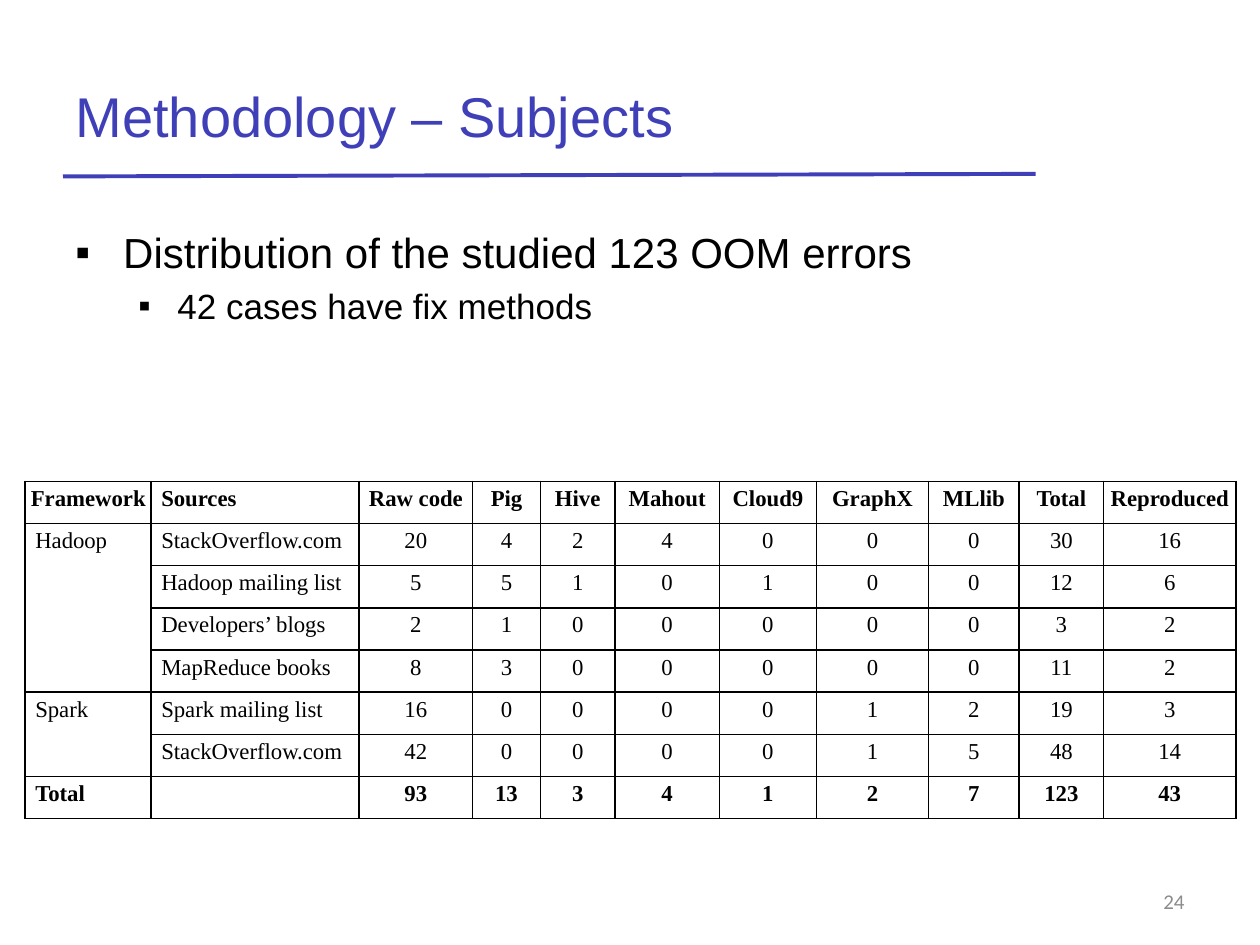
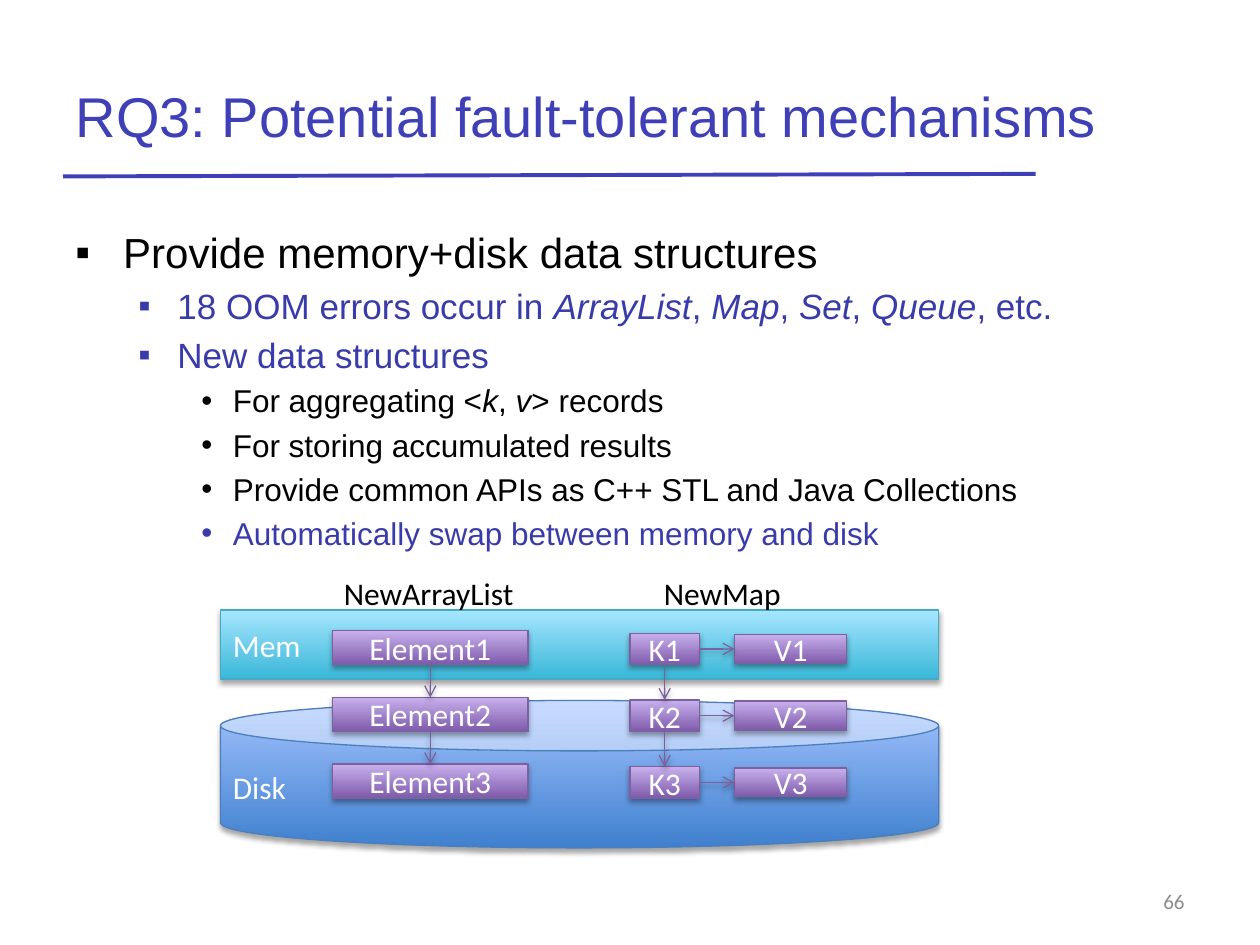
from lxml import etree
from pptx import Presentation
from pptx.dml.color import RGBColor
from pptx.enum.shapes import MSO_CONNECTOR, MSO_SHAPE
from pptx.enum.text import MSO_ANCHOR, MSO_AUTO_SIZE, PP_ALIGN
from pptx.oxml.ns import qn
from pptx.util import Inches, Pt

LEFT, CENTER, RIGHT = PP_ALIGN.LEFT, PP_ALIGN.CENTER, PP_ALIGN.RIGHT
TOP, MIDDLE = MSO_ANCHOR.TOP, MSO_ANCHOR.MIDDLE
RECT, CAN = MSO_SHAPE.RECTANGLE, MSO_SHAPE.CAN
STRAIGHT = MSO_CONNECTOR.STRAIGHT

# Content: bullets are (level, colour, text), with *italic* parts
BLACK, WHITE, GREY = "000000", "FFFFFF", "8C8C8C"
TITLE_BLUE, TEXT_BLUE = "3F40B8", "393BAA"

SUBJECTS = {
    "title": "Methodology – Subjects",
    "number": "24",
    "bullets": [
        (0, BLACK, "Distribution of the studied 123 OOM errors"),
        (1, BLACK, "42 cases have fix methods"),
    ],
}
MECHANISMS = {
    "title": "RQ3: Potential fault-tolerant mechanisms",
    "number": "66",
    "bullets": [
        (0, BLACK, "Provide memory+disk data structures"),
        (1, TEXT_BLUE, "18 OOM errors occur in *ArrayList*, *Map*, *Set*, *Queue*, etc."),
        (1, TEXT_BLUE, "New data structures"),
        (2, BLACK, "For aggregating <*k*, *v*> records"),
        (2, BLACK, "For storing accumulated results"),
        (2, BLACK, "Provide common APIs as C++ STL and Java Collections"),
        (2, TEXT_BLUE, "Automatically swap between memory and disk"),
    ],
}
ERROR_TABLE = [
    ("Framework", "Sources", "Raw code", "Pig", "Hive", "Mahout", "Cloud9",
     "GraphX", "MLlib", "Total", "Reproduced"),
    ("Hadoop", "StackOverflow.com", 20, 4, 2, 4, 0, 0, 0, 30, 16),
    ("", "Hadoop mailing list", 5, 5, 1, 0, 1, 0, 0, 12, 6),
    ("", "Developers’ blogs", 2, 1, 0, 0, 0, 0, 0, 3, 2),
    ("", "MapReduce books", 8, 3, 0, 0, 0, 0, 0, 11, 2),
    ("Spark", "Spark mailing list", 16, 0, 0, 0, 0, 1, 2, 19, 3),
    ("", "StackOverflow.com", 42, 0, 0, 0, 0, 1, 5, 48, 14),
    ("Total", "", 93, 13, 3, 4, 1, 2, 7, 123, 43),
]
COLUMN_WIDTHS = [1, 1.65, 0.9, 0.54, 0.59, 0.83, 0.77, 0.89, 0.72, 0.67, 1.05]
ROW_HEIGHT = 0.335
FRAMEWORK_ROWS = [(1, 4), (5, 6)]

# (size, left margin, hanging indent, bullet) for each level
LEVELS = [(24, 0.38, 0.38, "▪"), (20, 0.81, 0.31, "▪"), (18, 1.25, 0.25, "•")]

# Gradient from bottom to top, then outline
PURPLE = ("7F5BAB", "C8B0ED", "7D60A0")
CYAN = ("39B7D8", "A7E6FF", "46AAC5")
BLUE = ("3F80CE", "A4C4FF", "4B7EBC")

# Diagram columns: name, left, width, height, centre of the first row
NODE_COLUMNS = [
    ("Element", 2.64, 1.55, 0.27, 5.14),
    ("K", 5, 0.55, 0.25, 5.15),
    ("V", 5.83, 0.89, 0.23, 5.15),
]
NODE_ROWS, ROW_PITCH = 3, 0.53
STRUCTURE_LABELS = [("NewMap", 5.17, 1.56), ("NewArrayList", 2.63, 1.78)]


def rgb(value):
    return RGBColor.from_string(value)


def box(*lengths):
    return [Inches(v) for v in lengths]


def add_run(p, text, size, color, font="Calibri", bold=False, italic=False):
    r = p.add_run()
    r.text = text
    r.font.size, r.font.name = Pt(size), font
    r.font.bold, r.font.italic = bold, italic
    r.font.color.rgb = rgb(color)


def add_label(s, text, place, size, color, align=LEFT, anchor=TOP):
    tf = s.shapes.add_textbox(*box(*place)).text_frame
    tf.word_wrap = True
    tf.vertical_anchor = anchor
    p = tf.paragraphs[0]
    p.alignment = align
    add_run(p, text, size, color)


def add_effects(shape, shadow=True):
    effects = etree.SubElement(shape._element.spPr, qn("a:effectLst"))
    if shadow:
        outer = etree.SubElement(
            effects, qn("a:outerShdw"), blurRad=str(Pt(3.1)), dist=str(Pt(1.8)),
            dir="5400000", rotWithShape="0")
        black = etree.SubElement(outer, qn("a:srgbClr"), val=BLACK)
        etree.SubElement(black, qn("a:alpha"), val="35000")


def add_line(s, x1, y1, x2, y2, color, width):
    line = s.shapes.add_connector(STRAIGHT, *box(x1, y1, x2, y2))
    line.line.color.rgb = rgb(color)
    line.line.width = Pt(width)
    return line


def add_bullets(s, bullets, height):
    tf = s.shapes.add_textbox(*box(0.5, 1.75, 9, height)).text_frame
    tf.word_wrap = True
    for i, (level, color, text) in enumerate(bullets):
        size, margin, hanging, mark = LEVELS[level]
        p = tf.add_paragraph() if i else tf.paragraphs[0]
        p.level = level
        pPr = p._p.get_or_add_pPr()
        pPr.set("marL", str(Inches(margin)))
        pPr.set("indent", str(-Inches(hanging)))
        p.space_before = Pt(0.2 * size if i else 0)
        etree.SubElement(pPr, qn("a:buFont"), typeface="Arial")
        etree.SubElement(pPr, qn("a:buChar"), char=mark)
        for part, chunk in enumerate(text.split("*")):
            add_run(p, chunk, size, color, "Arial", italic=part % 2 == 1)


def add_slide(prs, content, body_height):
    s = prs.slides.add_slide(prs.slide_layouts[5])
    # Title rule
    add_effects(add_line(s, 0.5, 1.4, 8.22, 1.38, TITLE_BLUE, 2.25), shadow=False)
    # Title
    title = s.shapes.title
    title.left, title.top, title.width, title.height = box(0.5, 0.45, 9.1, 0.93)
    tf = title.text_frame
    tf.word_wrap, tf.auto_size = True, MSO_AUTO_SIZE.NONE
    tf.vertical_anchor = MIDDLE
    p = tf.paragraphs[0]
    p.alignment = LEFT
    add_run(p, content["title"], 32, TITLE_BLUE, "Arial")
    # Body and slide number
    add_bullets(s, content["bullets"], body_height)
    add_label(s, content["number"], (7.17, 6.95, 2.33, 0.4), 12, GREY, RIGHT, MIDDLE)
    return s


def add_borders(cell):
    tcPr = cell._tc.get_or_add_tcPr()
    for i, side in enumerate(("lnL", "lnR", "lnT", "lnB")):
        ln = etree.Element(qn("a:" + side), w=str(Pt(1)))
        fill = etree.SubElement(ln, qn("a:solidFill"))
        etree.SubElement(fill, qn("a:srgbClr"), val=BLACK)
        tcPr.insert(i, ln)


def add_error_table(s):
    rows, cols = len(ERROR_TABLE), len(COLUMN_WIDTHS)
    table = s.shapes.add_table(
        rows, cols, *box(0.2, 3.82, sum(COLUMN_WIDTHS), rows * ROW_HEIGHT)).table
    table.first_row = table.horz_banding = False
    for column, width in zip(table.columns, COLUMN_WIDTHS):
        column.width = Inches(width)
    for i, values in enumerate(ERROR_TABLE):
        table.rows[i].height = Inches(ROW_HEIGHT)
        for j, value in enumerate(values):
            cell = table.cell(i, j)
            cell.fill.background()
            add_borders(cell)
            centred = j > 1 or (i, j) == (0, 0)
            cell.margin_top = cell.margin_bottom = cell.margin_right = Inches(0.04)
            cell.margin_left = Inches(0.04 if centred else 0.08)
            p = cell.text_frame.paragraphs[0]
            p.alignment = CENTER if centred else LEFT
            if value == "":
                etree.SubElement(p._p, qn("a:endParaRPr"), sz="1300")
            else:
                add_run(p, str(value), 13, BLACK, "Times New Roman",
                        bold=i in (0, rows - 1))
    for first, last in FRAMEWORK_ROWS:
        table.cell(first, 0).merge(table.cell(last, 0))


def add_block(s, kind, place, text, colors, align):
    bottom, top, outline = colors
    shape = s.shapes.add_shape(kind, *box(*place))
    shape.fill.gradient()
    shape.fill.gradient_angle = 90
    for stop, color in zip(shape.fill.gradient_stops, (bottom, top)):
        stop.color.rgb = rgb(color)
    shape.line.color.rgb = rgb(outline)
    shape.line.width = Pt(0.75)
    add_effects(shape)
    shape.text_frame.vertical_anchor = MIDDLE
    p = shape.text_frame.paragraphs[0]
    p.alignment = align
    add_run(p, text, 18, WHITE)
    return shape


def add_arrow(s, start, start_side, end, end_side):
    arrow = add_line(s, 0, 0, 1, 1, PURPLE[2], 0.75)
    arrow.begin_connect(start, start_side)
    arrow.end_connect(end, end_side)
    etree.SubElement(arrow.line._get_or_add_ln(), qn("a:tailEnd"), type="arrow")
    add_effects(arrow)


def add_memory_diagram(s):
    # Storage layers
    disk = add_block(s, CAN, (1.75, 5.56, 5.7, 1.17), "Disk", BLUE, LEFT)
    disk.adjustments[0] = 0.342
    add_block(s, RECT, (1.75, 4.84, 5.7, 0.55), "Mem", CYAN, LEFT)
    # Nodes
    nodes = {}
    for name, left, width, height, centre in NODE_COLUMNS:
        nodes[name] = [
            add_block(s, RECT, (left, centre + i * ROW_PITCH - height / 2, width, height),
                      f"{name}{i + 1}", PURPLE, CENTER)
            for i in range(NODE_ROWS)]
    # Arrows from key to value, and down each list
    for key, value in zip(nodes["K"], nodes["V"]):
        add_arrow(s, key, 3, value, 1)
    for name in ("Element", "K"):
        for upper, lower in zip(nodes[name], nodes[name][1:]):
            add_arrow(s, upper, 2, lower, 0)
    # Structure names
    for text, left, width in STRUCTURE_LABELS:
        add_label(s, text, (left, 4.51, width, 0.4), 18, BLACK)


def main():
    prs = Presentation()
    prs.slide_width, prs.slide_height = box(10, 7.5)
    add_error_table(add_slide(prs, SUBJECTS, 4.95))
    add_memory_diagram(add_slide(prs, MECHANISMS, 3.09))
    prs.save("out.pptx")


if __name__ == "__main__":
    main()
